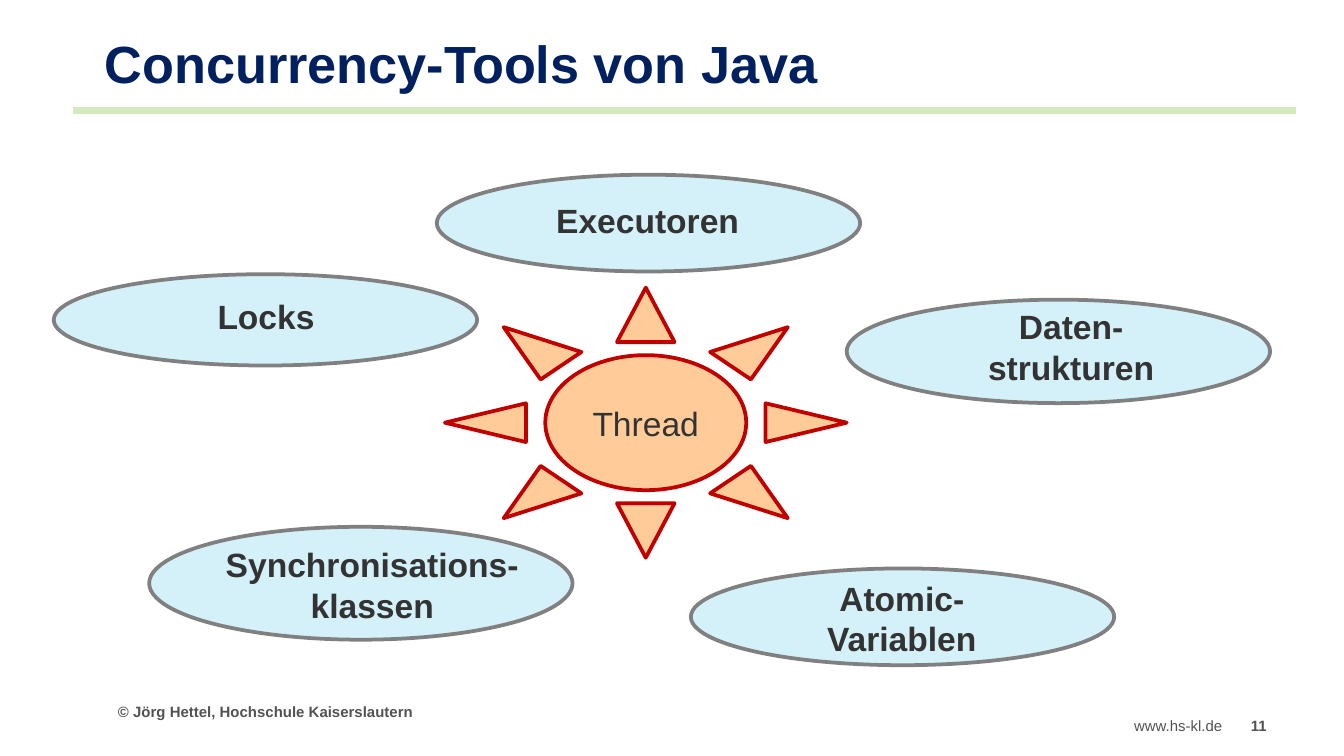
from dataclasses import dataclass

from pptx import Presentation
from pptx.dml.color import RGBColor
from pptx.enum.shapes import MSO_CONNECTOR, MSO_SHAPE
from pptx.enum.text import MSO_ANCHOR, MSO_AUTO_SIZE, PP_ALIGN
from pptx.oxml.ns import qn
from pptx.util import Emu, Pt

LEFT, CENTER = PP_ALIGN.LEFT, PP_ALIGN.CENTER
TOP, MIDDLE, BOTTOM = MSO_ANCHOR.TOP, MSO_ANCHOR.MIDDLE, MSO_ANCHOR.BOTTOM
OVAL, SUN = MSO_SHAPE.OVAL, MSO_SHAPE.SUN
STRAIGHT = MSO_CONNECTOR.STRAIGHT
NO_FIT = MSO_AUTO_SIZE.NONE

UNIT = 9144  # EMU per px, 100 px to the inch
FONT = "Arial"
COLORS = {
    "title": "002060",
    "rule": "D3EABF",
    "bubble": "D4F0F8",
    "edge": "808080",
    "sun": "FFCC99",
    "ray": "C00000",
    "text": "333333",
    "foot": "525252",
}


@dataclass(frozen=True)
class Box:
    x: int
    y: int
    w: int
    h: int


@dataclass(frozen=True)
class Label:
    text: str
    box: Box
    size: int = 18
    color: str = "text"
    bold: bool = True
    align: PP_ALIGN = CENTER
    anchor: MSO_ANCHOR = TOP
    wrap: bool = True


BUBBLES = [
    Box(40, 204, 315, 68),
    Box(111, 392, 315, 84),
    Box(514, 423, 315, 72),
    Box(630, 223, 315, 77),
    Box(325, 130, 315, 72),
]

TOOLS = [
    Label("Locks", Box(111, 215, 174, 40)),
    Label("Daten-strukturen", Box(710, 223, 174, 71)),
    Label("Atomic-Variablen", Box(584, 425, 174, 71)),
    Label("Synchronisations-klassen", Box(132, 400, 290, 71)),
    Label("Executoren", Box(404, 144, 290, 40), align=LEFT),
]

FOOTER = [
    Label("www.hs-kl.de", Box(834, 528, 87, 24), 8, "foot", False, LEFT, wrap=False),
    Label("11", Box(921, 528, 43, 24), 8, "foot", align=LEFT, wrap=False),
    Label("© Jörg Hettel, Hochschule Kaiserslautern", Box(78, 522, 450, 15),
          8, "foot", align=LEFT, anchor=MIDDLE),
]

TITLE = Label("Concurrency-Tools von Java", Box(68, 24, 854, 52),
              28, "title", align=LEFT, anchor=BOTTOM)
THREAD = Label("Thread", Box(331, 214, 299, 201), bold=False, anchor=MIDDLE)


def px(n: int) -> Emu:
    return Emu(n * UNIT)


def rgb(name: str) -> RGBColor:
    return RGBColor.from_string(COLORS[name])


def frame(box: Box) -> tuple:
    return px(box.x), px(box.y), px(box.w), px(box.h)


def write(shape, label: Label) -> None:
    body = shape.text_frame
    body.text = label.text
    body.auto_size = NO_FIT
    body.word_wrap = label.wrap
    body.vertical_anchor = label.anchor
    para = body.paragraphs[0]
    para.alignment = label.align
    font = para.font
    font.name, font.size, font.bold = FONT, Pt(label.size), label.bold
    font.color.rgb = rgb(label.color)


def add_label(slide, label: Label) -> None:
    write(slide.shapes.add_textbox(*frame(label.box)), label)


def add_form(slide, kind: MSO_SHAPE, box: Box, fill: str, line: str):
    shape = slide.shapes.add_shape(kind, *frame(box))
    shape.shadow.inherit = False
    shape.fill.solid()
    shape.fill.fore_color.rgb = rgb(fill)
    shape.line.color.rgb = rgb(line)
    shape.line.width = Pt(2)
    return shape


def add_rule(slide, left: int, right: int, y: int) -> None:
    rule = slide.shapes.add_connector(STRAIGHT, px(left), px(y), px(right), px(y))
    rule.line.color.rgb = rgb("rule")
    rule.line.width = Pt(3.75)
    props = rule._element.spPr
    props.append(props.makeelement(qn("a:effectLst"), {}))


def set_title(slide, label: Label) -> None:
    title = slide.shapes.title
    title.left, title.top, title.width, title.height = frame(label.box)
    write(title, label)
    body = title.text_frame
    body.margin_left = body.margin_right = px(10)
    body.margin_top, body.margin_bottom = px(5), px(6)
    body.paragraphs[0].line_spacing = Pt(31)


def main() -> None:
    deck = Presentation()
    deck.slide_width, deck.slide_height = px(1000), Emu(5143500)
    slide = deck.slides.add_slide(deck.slide_layouts[5])

    # Title and rule
    set_title(slide, TITLE)
    add_rule(slide, 54, 964, 82)

    # Tools around the thread
    for box in BUBBLES:
        add_form(slide, OVAL, box, "bubble", "edge")
    for label in TOOLS + FOOTER:
        add_label(slide, label)

    # Thread in the middle
    write(add_form(slide, SUN, THREAD.box, "sun", "ray"), THREAD)

    deck.save("out.pptx")


if __name__ == "__main__":
    main()
